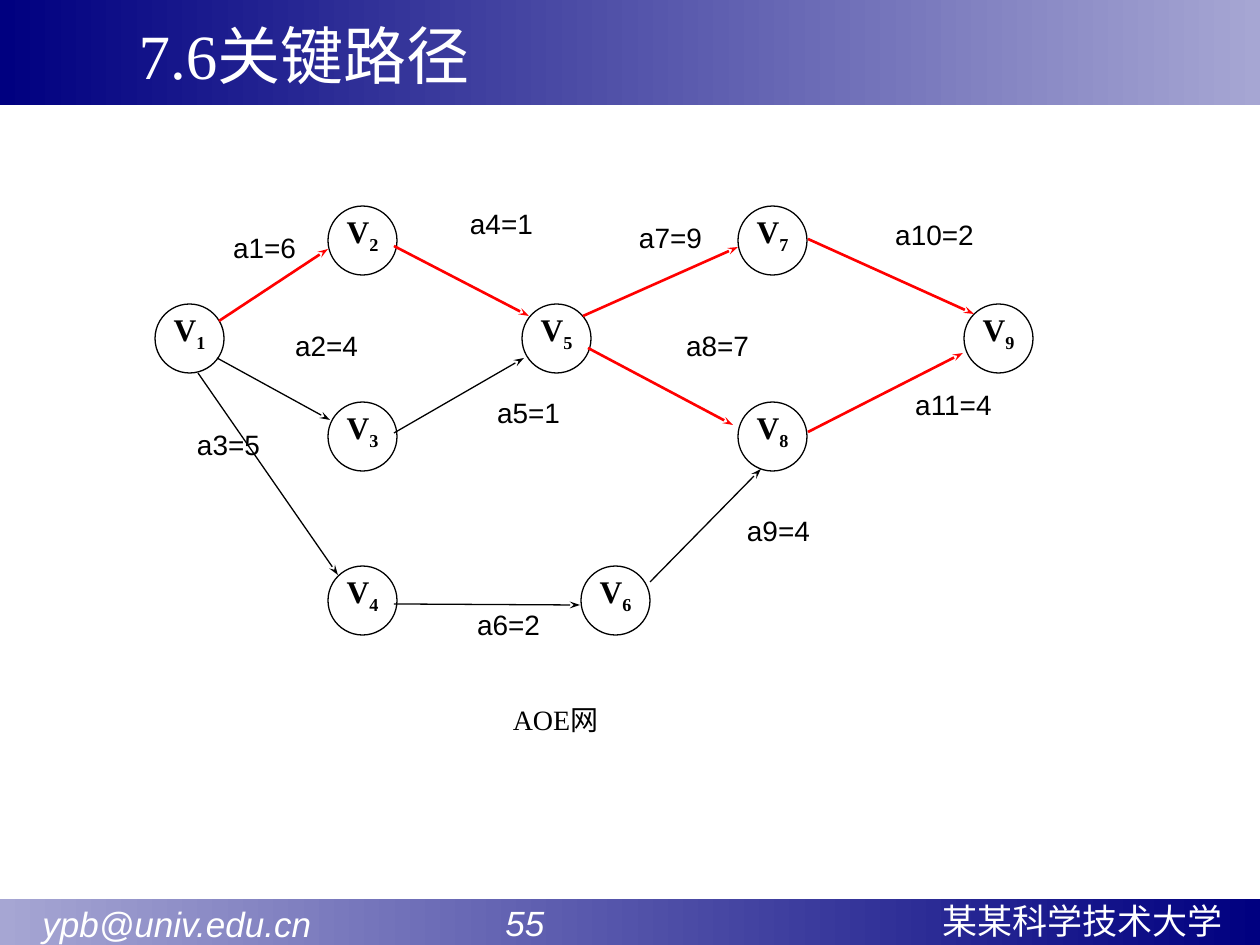
from lxml.etree import SubElement
from pptx import Presentation
from pptx.dml.color import RGBColor
from pptx.enum.shapes import MSO_CONNECTOR, MSO_SHAPE
from pptx.enum.text import MSO_ANCHOR, PP_ALIGN
from pptx.oxml.ns import qn
from pptx.util import Inches, Pt

COLORS = {"navy": "000080", "lavender": "A6A6D3", "white": "FFFFFF",
          "black": "000000", "critical": "FF0000"}
SERIF, SANS = "Times New Roman", "Arial"
SCALE = Inches(1) / 126
NODE = 69


def px(*lengths):
    return [round(length * SCALE) for length in lengths]


def write(shape, pieces, color, font, paragraph={}, inset=0, anchor=MSO_ANCHOR.TOP):
    frame = shape.text_frame
    frame.word_wrap = True
    frame.vertical_anchor = anchor
    frame.margin_left = frame.margin_right = Inches(inset)
    frame.margin_top = frame.margin_bottom = Inches(inset / 2)
    para = frame.paragraphs[0]
    for name, value in paragraph.items():
        setattr(para, name, value)
    for piece in pieces:
        span = para.add_run()
        span.text = piece
        span.font.color.rgb = RGBColor.from_string(COLORS[color])
        for name, value in font.items():
            setattr(span.font, name, value)
    return para


deck = Presentation()
deck.slide_width, deck.slide_height = Inches(10), Inches(7.5)
page = deck.slides.add_slide(deck.slide_layouts[5])
shapes = page.shapes

bars = [(899, 49, ("lavender", "navy")), (0, 105, ("navy", "lavender"))]
for top, height, ends in bars:
    bar = shapes.add_shape(MSO_SHAPE.RECTANGLE, *px(0, top, 1260, height))
    bar.shadow.inherit = False
    bar.line.fill.background()
    bar.fill.gradient()
    bar.fill.gradient_angle = 0
    for position, (stop, color) in enumerate(zip(bar.fill.gradient_stops, ends)):
        stop.position = position
        stop.color.rgb = RGBColor.from_string(COLORS[color])

footers = [
    ("某某科学技术大学", 930, 893, 324, False),
    ("55", 493, 895, 185, True),
    ("ypb@univ.edu.cn", 30, 896, 306, True),
]
for text, left, top, width, italic in footers:
    box = shapes.add_textbox(*px(left, top, width, 55))
    write(box, [text], "white", {"size": Pt(20), "name": SANS, "italic": italic}, inset=0.1)

title = shapes.title
title.left, title.top, title.width, title.height = px(126, 10, 1029, 88)
write(title, ["7.6关键路径"], "white", {"size": Pt(36), "name": SERIF},
      {"alignment": PP_ALIGN.LEFT}, inset=0.1, anchor=MSO_ANCHOR.BOTTOM)
title.element.getparent().append(title.element)

upper, middle, lower, bottom = 206, 304, 402, 566
nodes = [(155, middle), (328, upper), (328, lower), (328, bottom), (522, middle),
         (581, bottom), (738, upper), (738, lower), (964, middle)]
for number, (left, top) in enumerate(nodes, 1):
    node = shapes.add_shape(MSO_SHAPE.OVAL, *px(left, top, NODE, NODE))
    node.shadow.inherit = False
    node.fill.solid()
    node.fill.fore_color.rgb = RGBColor.from_string(COLORS["white"])
    node.line.color.rgb = RGBColor.from_string(COLORS["black"])
    node.line.width = Pt(0.75)
    para = write(node, ["V", str(number)], "black",
                 {"size": Pt(18), "name": SERIF, "bold": True},
                 {"alignment": PP_ALIGN.CENTER, "line_spacing": 0.8})
    para.runs[1].font._element.set("baseline", "-25000")

edges = [
    ("a1=6", (219, 321, 328, 249), (175, 241), True),
    ("a2=4", (217, 358, 330, 420), (237, 339), False),
    ("a3=5", (198, 373, 338, 575), (139, 438), False),
    ("a4=1", (394, 246, 529, 316), (412, 217), True),
    ("a5=1", (394, 433, 524, 358), (439, 406), False),
    ("a6=2", (394, 604, 580, 605), (419, 618), False),
    ("a7=9", (583, 316, 738, 247), (581, 231), True),
    ("a8=7", (588, 348, 733, 425), (628, 339), True),
    ("a9=4", (650, 582, 761, 469), (689, 524), False),
    ("a10=2", (808, 239, 974, 314), (845, 228), True),
    ("a11=4", (808, 432, 963, 353), (864, 398), True),
]
for text, ends, corner, critical in edges:
    arrow = shapes.add_connector(MSO_CONNECTOR.STRAIGHT, *px(*ends))
    arrow.line.color.rgb = RGBColor.from_string(COLORS["critical" if critical else "black"])
    arrow.line.width = Pt(1.5 if critical else 0.75)
    properties = arrow.element.spPr
    SubElement(properties.find(qn("a:ln")), qn("a:tailEnd"), type="stealth", w="sm")
    SubElement(properties, qn("a:effectLst"))

    label = shapes.add_textbox(*px(*corner, 179, 40))
    write(label, [text], "black", {"size": Pt(16), "name": SANS},
          {"alignment": PP_ALIGN.CENTER, "line_spacing": 0.64})

caption = shapes.add_textbox(*px(268, 703, 575, 77))
write(caption, ["AOE网"], "black", {"size": Pt(16), "name": SERIF},
      {"alignment": PP_ALIGN.CENTER})

deck.save("out.pptx")
